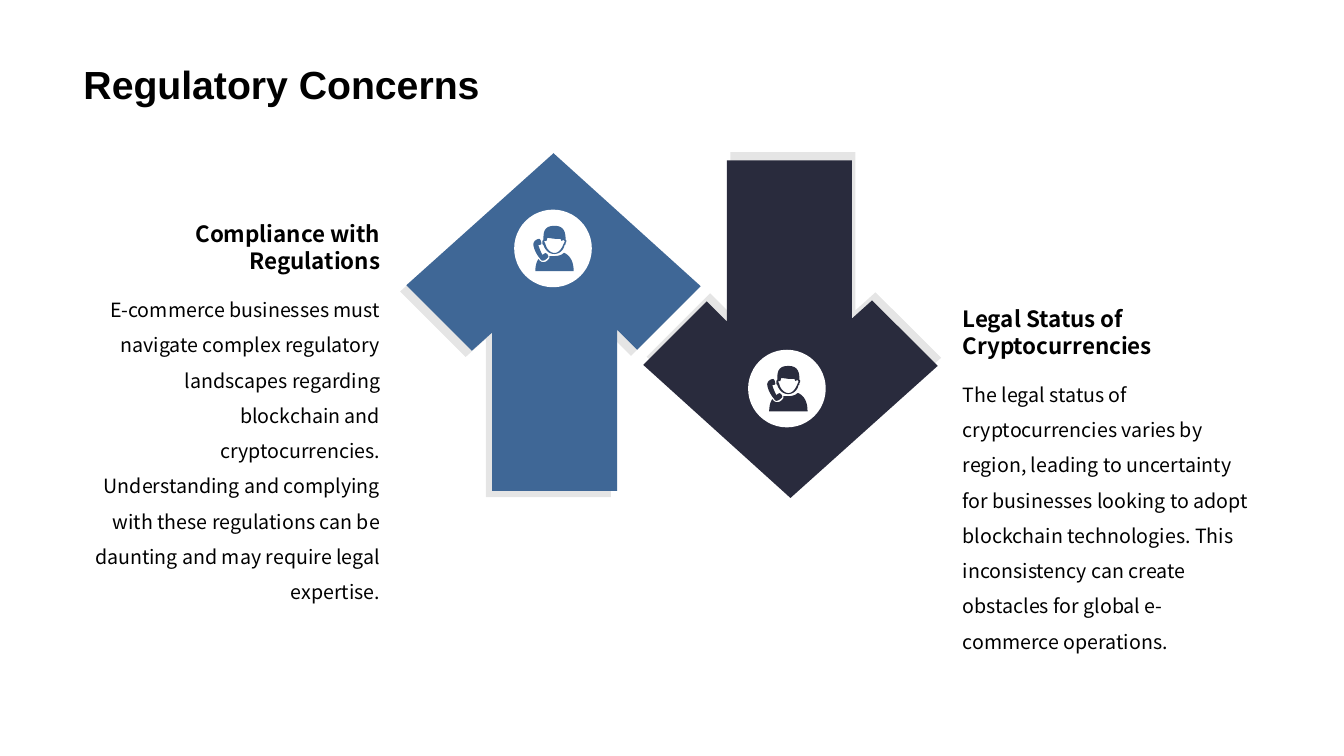
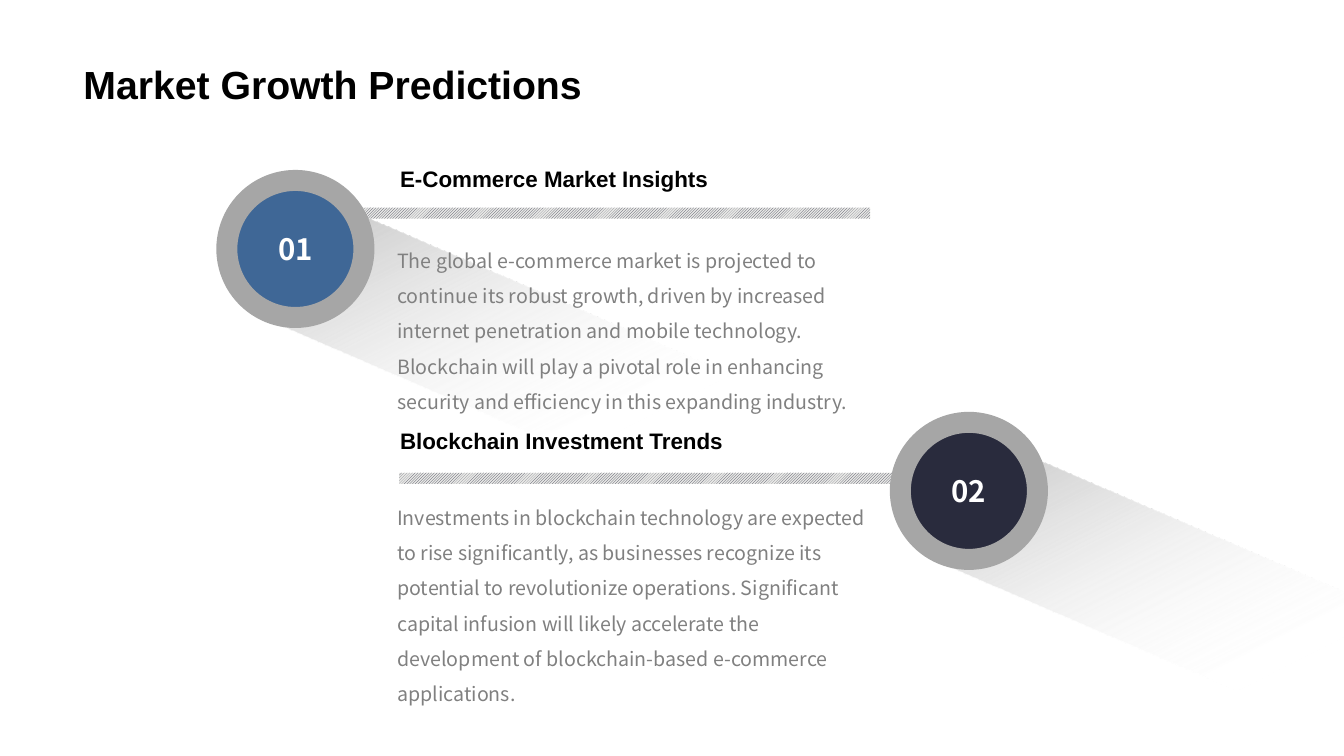
import lxml.etree
import pptx
import pptx.dml.color
import pptx.enum.dml
import pptx.enum.shapes
import pptx.enum.text
import pptx.oxml
import pptx.oxml.ns
import pptx.util

Inches = pptx.util.Inches
SHAPE = pptx.enum.shapes.MSO_SHAPE
ALIGN = pptx.enum.text.PP_ALIGN
ANCHOR = pptx.enum.text.MSO_ANCHOR

COLORS = {
    "blue": "3F6796", "navy": "292B3D", "white": "FFFFFF", "black": "000000",
    "body": "808080", "ring": "A6A6A6", "ray": "BFBFBF",
    "stripe": "414455", "stripe_back": "E8E8E6",
}
LATIN = "Arial"
SANS = "Noto Sans CJK SC"
TIGHT = (0.07, 0.04)
WIDE = (0.1, 0.05)

ARROW = [(5.49, 1.52), (6.95, 2.84), (6.32, 3.47), (6.12, 3.27), (6.12, 4.87),
         (4.88, 4.87), (4.88, 3.3), (4.68, 3.48), (4.03, 2.83)]
ARROW_PAIR_SUM = (13.33, 6.46)

# Caller icon in hundredths of an inch: a start point, then lines (2 numbers)
# and Bezier curves (6 numbers).
CALLER = [
    [(9, 18), (10, 19), (12, 25, 16, 28, 21, 28), (25, 28, 30, 25, 31, 19),
     (32, 19, 32, 18, 32, 17), (33, 16, 33, 14, 32, 14), (32, 7, 31, 0, 21, 0),
     (10, 0, 10, 7, 10, 14), (9, 14, 9, 16, 9, 17)],
    [(31, 16), (30, 18), (28, 23, 25, 27, 21, 27), (17, 27, 13, 23, 12, 18),
     (11, 16), (11, 15), (13, 15), (14, 12), (16, 12, 20, 13, 24, 13),
     (27, 13), (28, 15), (30, 14), (31, 15)],
    [(40, 45), (2, 45), (2, 40, 3, 36, 5, 33), (6, 34), (6, 34, 7, 36, 10, 36),
     (12, 36, 14, 35, 16, 32), (16, 30), (17, 30, 19, 30, 21, 30),
     (25, 30, 28, 29, 30, 27), (31, 27), (37, 30, 40, 36, 40, 45)],
    [(7, 33), (0, 25, 0, 18, 0, 18), (1, 13, 6, 13, 6, 13),
     (8, 14, 8, 18, 8, 18), (8, 19, 5, 19, 5, 19), (6, 23, 9, 29, 9, 29),
     (10, 28, 12, 27, 12, 27), (15, 28, 15, 31, 15, 31),
     (10, 36, 8, 35, 7, 33)],
]


def rgb(name):
    return pptx.dml.color.RGBColor.from_string(COLORS[name])


def paint(shape, fill):
    shape.shadow.inherit = False
    shape.fill.solid()
    shape.fill.fore_color.rgb = rgb(fill)
    shape.line.fill.background()


def write(shape, text, size, color, font=SANS, bold=False, align=ALIGN.LEFT,
          anchor=ANCHOR.TOP, spacing=1.0, insets=WIDE):
    frame = shape.text_frame
    frame.word_wrap = True
    frame.vertical_anchor = anchor
    frame.margin_left = frame.margin_right = Inches(insets[0])
    frame.margin_top = frame.margin_bottom = Inches(insets[1])
    para = frame.paragraphs[0]
    para.alignment = align
    para.line_spacing = spacing
    span = para.add_run()
    span.text = text
    span.font.size = pptx.util.Pt(size)
    span.font.bold = bold
    span.font.name = font
    span.font.color.rgb = rgb(color)
    if font == SANS:
        fonts = span.font._element
        east = lxml.etree.SubElement(fonts, pptx.oxml.ns.qn("a:ea"))
        east.set("typeface", font)


def add_text(page, at, text, size, color="black", **style):
    box = page.shapes.add_textbox(*(Inches(length) for length in at))
    write(box, text, size, color, **style)


def add_shape(page, kind, at, fill):
    shape = page.shapes.add_shape(kind, *(Inches(length) for length in at))
    paint(shape, fill)
    return shape


def add_outline(page, contours, fill):
    """Fill closed contours given as lists of page points in inches."""
    contours = [[(Inches(x), Inches(y)) for x, y in points] for points in contours]
    builder = page.shapes.build_freeform(*contours[0][0], scale=1.0)
    for index, points in enumerate(contours):
        if index:
            builder.move_to(*points[0])
        builder.add_line_segments(points[1:], close=True)
    shape = builder.convert_to_shape()
    paint(shape, fill)
    return shape


def add_arrow(page, points, fill, shadow_angle):
    shape = add_outline(page, [points], fill)
    effects = shape._element.spPr.find(pptx.oxml.ns.qn("a:effectLst"))
    effects.append(pptx.oxml.parse_xml(
        f'<a:outerShdw {pptx.oxml.ns.nsdecls("a")} blurRad="0"'
        f' dist="{pptx.util.Pt(6.3)}" dir="{shadow_angle * 60000}"'
        f' algn="ctr" rotWithShape="0"><a:srgbClr val="{COLORS["black"]}">'
        '<a:alpha val="10000"/></a:srgbClr></a:outerShdw>'))


def flatten(contour, steps=8):
    """Turn lines and Bezier curves into a list of points."""
    points = [contour[0]]
    for part in contour[1:]:
        if len(part) == 2:
            points.append(part)
            continue
        anchors = [points[-1], part[:2], part[2:4], part[4:]]
        for step in range(1, steps + 1):
            t = step / steps
            weights = ((1 - t) ** 3, 3 * t * (1 - t) ** 2, 3 * t * t * (1 - t), t ** 3)
            points.append(tuple(sum(w * p[axis] for w, p in zip(weights, anchors))
                                for axis in (0, 1)))
    return points


def add_caller_badge(page, left, top, color):
    add_shape(page, SHAPE.OVAL, (left, top, 0.77, 0.77), "white")
    contours = [[(left + 0.19 + x / 100, top + 0.16 + y / 100)
                 for x, y in flatten(contour)] for contour in CALLER]
    add_outline(page, contours, color)


def add_concern(page, left, heading_bottom, heading, body, align):
    add_text(page, (left, heading_bottom - 0.64, 3.14, 0.64), heading, 16,
             bold=True, align=align, anchor=ANCHOR.BOTTOM)
    add_text(page, (left, heading_bottom + 0.02, 3.14, 3.3), body, 14,
             align=align, spacing=1.5)


def add_ray(page, left, top):
    """Add the long fading shadow cast by a number disc."""
    shape = add_shape(page, SHAPE.RECTANGLE, (left, top, 6.89, 1.32), "ray")
    shape.rotation = 23.3
    properties = shape._element.spPr
    solid = properties.find(pptx.oxml.ns.qn("a:solidFill"))
    properties.replace(solid, pptx.oxml.parse_xml(
        f'<a:gradFill {pptx.oxml.ns.nsdecls("a")} rotWithShape="1"><a:gsLst>'
        f'<a:gs pos="0"><a:srgbClr val="{COLORS["ray"]}"/></a:gs>'
        f'<a:gs pos="54000"><a:srgbClr val="{COLORS["white"]}">'
        '<a:alpha val="0"/></a:srgbClr></a:gs></a:gsLst>'
        '<a:lin ang="2400000" scaled="0"/></a:gradFill>'))


def add_striped_bar(page, left, top):
    bar = add_shape(page, SHAPE.RECTANGLE, (left, top, 5.14, 0.11), "stripe")
    bar.fill.patterned()
    bar.fill.pattern = pptx.enum.dml.MSO_PATTERN.LIGHT_UPWARD_DIAGONAL
    bar.fill.fore_color.rgb = rgb("stripe")
    bar.fill.back_color.rgb = rgb("stripe_back")


def add_number_disc(page, left, top, number, fill):
    disc = add_shape(page, SHAPE.OVAL, (left, top, 1.36, 1.36), fill)
    disc.line.color.rgb = rgb("ring")
    disc.line.width = pptx.util.Pt(15)
    write(disc, number, 21, "white", bold=True, align=ALIGN.CENTER,
          anchor=ANCHOR.MIDDLE, insets=TIGHT)


def add_prediction(page, heading_top, body_top, heading, body):
    add_text(page, (3.87, body_top, 4.84, 2.2), body, 14, "body",
             spacing=1.5, insets=TIGHT)
    add_text(page, (3.87, heading_top, 4.84, 0.34), heading, 16, font=LATIN,
             bold=True, anchor=ANCHOR.BOTTOM, spacing=0.9)


def add_page(deck, title):
    page = deck.slides.add_slide(deck.slide_layouts[6])
    add_text(page, (0.73, 0, 11.87, 1.12), title, 28, font=LATIN, bold=True,
             anchor=ANCHOR.BOTTOM, spacing=0.9)
    return page


def build_concerns(deck):
    page = add_page(deck, "Regulatory Concerns")
    turned = [tuple(total - value for total, value in zip(ARROW_PAIR_SUM, point))
              for point in ARROW]
    add_arrow(page, ARROW, "blue", 135)
    add_arrow(page, turned, "navy", 293)
    add_caller_badge(page, 5.1, 2.08, "blue")
    add_caller_badge(page, 7.42, 3.47, "navy")
    add_concern(
        page, 0.73, 2.77, "Compliance with Regulations",
        "E-commerce businesses must navigate complex regulatory landscapes "
        "regarding blockchain and cryptocurrencies. Understanding and complying "
        "with these regulations can be daunting and may require legal expertise.",
        ALIGN.RIGHT)
    add_concern(
        page, 9.45, 3.61, "Legal Status of Cryptocurrencies",
        "The legal status of cryptocurrencies varies by region, leading to "
        "uncertainty for businesses looking to adopt blockchain technologies. "
        "This inconsistency can create obstacles for global e-commerce operations.",
        ALIGN.LEFT)


def build_predictions(deck):
    page = add_page(deck, "Market Growth Predictions")
    add_ray(page, 9.29, 5.67)
    add_ray(page, 2.73, 3.31)
    add_striped_bar(page, 3.49, 2.06)
    add_striped_bar(page, 3.96, 4.69)
    add_number_disc(page, 2.25, 1.79, "01", "blue")
    add_number_disc(page, 8.93, 4.19, "02", "navy")
    add_prediction(
        page, 1.62, 2.31, "E-Commerce Market Insights",
        "The global e-commerce market is projected to continue its robust growth, "
        "driven by increased internet penetration and mobile technology. "
        "Blockchain will play a pivotal role in enhancing security and efficiency "
        "in this expanding industry.")
    add_prediction(
        page, 4.22, 4.86, "Blockchain Investment Trends",
        "Investments in blockchain technology are expected to rise significantly, "
        "as businesses recognize its potential to revolutionize operations. "
        "Significant capital infusion will likely accelerate the development of "
        "blockchain-based e-commerce applications.")


def main():
    deck = pptx.Presentation()
    deck.slide_width = Inches(13.33)
    deck.slide_height = Inches(7.5)
    build_concerns(deck)
    build_predictions(deck)
    deck.save("out.pptx")


if __name__ == "__main__":
    main()
